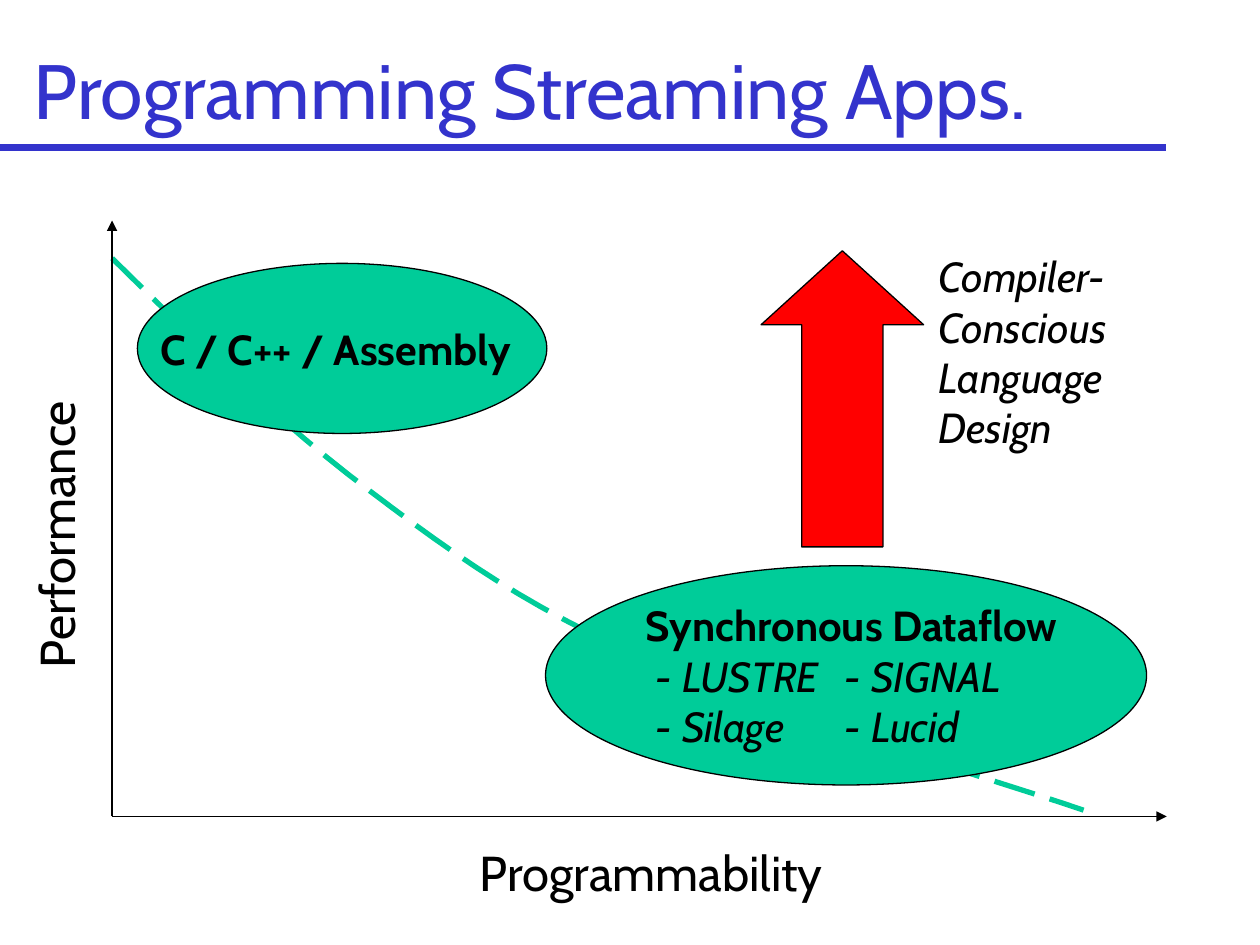
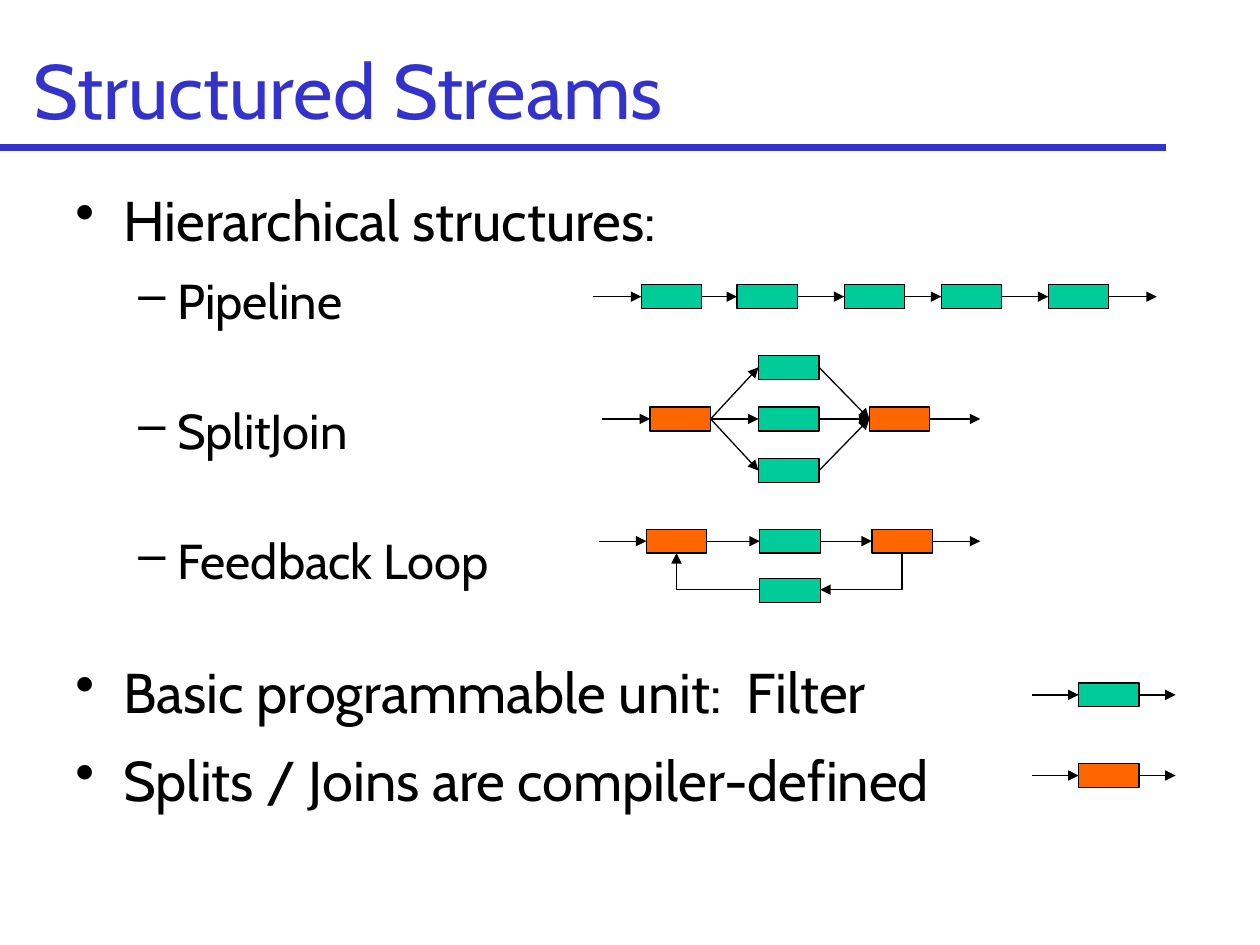
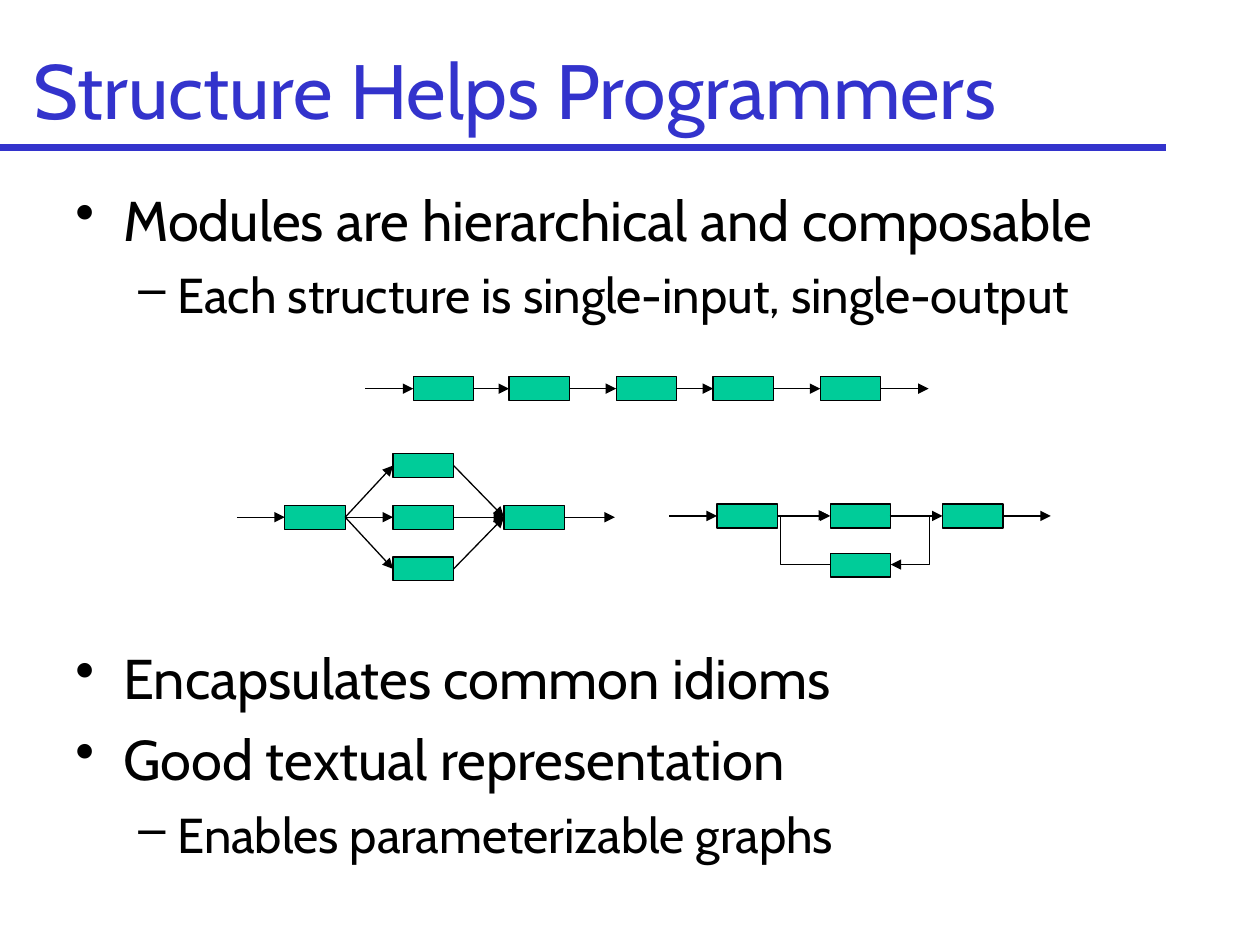
from lxml import etree
from pptx import Presentation
from pptx.dml.color import RGBColor
from pptx.enum import dml, shapes, text
from pptx.oxml.ns import qn
from pptx.util import Inches, Pt

FONT = "Cabin"
BLACK, BLUE, GREEN, ORANGE, RED = "000000", "3333CC", "00CC99", "FF6600", "FF0000"
BOX_WIDTH, BOX_HEIGHT = 0.48, 0.19
STRAIGHT, ELBOW = shapes.MSO_CONNECTOR.STRAIGHT, shapes.MSO_CONNECTOR.ELBOW
color = RGBColor.from_string


def add_line(slide, start, end, arrow="tailEnd", kind=STRAIGHT, line_color=BLACK, width=0.75):
    """Draw a connector; arrow names the end that carries the arrowhead."""
    connector = slide.shapes.add_connector(kind, *map(Inches, (*start, *end)))
    connector.line.color.rgb = color(line_color)
    connector.line.width = Pt(width)
    if arrow:
        etree.SubElement(connector.line._get_or_add_ln(), qn("a:" + arrow), type="triangle")
    etree.SubElement(connector._element.spPr, qn("a:effectLst"))
    return connector


def write(frame, line, size, text_color=BLACK, bold=False, italic=False,
          bullet=None, left=0, hanging=0, tab=None):
    """Fill the first empty paragraph of the frame, or add one."""
    paragraph = frame.paragraphs[-1]
    if paragraph.text:
        paragraph = frame.add_paragraph()
    paragraph.text = line
    paragraph.alignment = text.PP_ALIGN.LEFT
    properties = paragraph._p.get_or_add_pPr()
    properties.set("marL", str(Inches(left)))
    properties.set("indent", str(Inches(-hanging)))
    if bullet:
        etree.SubElement(properties, qn("a:buChar"), char=bullet)
    if tab:
        tabs = etree.SubElement(properties, qn("a:tabLst"))
        etree.SubElement(tabs, qn("a:tab"), pos=str(Inches(tab)), algn="l")
    font = paragraph.font
    font.name, font.size, font.bold, font.italic = FONT, Pt(size), bold, italic
    font.color.rgb = color(text_color)
    return paragraph


presentation = Presentation()
presentation.slide_width, presentation.slide_height = Inches(10), Inches(7.5)

# Titles and rules on every slide
slides = []
for title in ("Programming Streaming Apps.", "Structured Streams", "Structure Helps Programmers"):
    slide = presentation.slides.add_slide(presentation.slide_layouts[6])
    add_line(slide, (0, 1.17), (9.25, 1.17), arrow=None, line_color=BLUE, width=4)
    frame = slide.shapes.add_textbox(*map(Inches, (0.17, 0.08, 9.38, 1.25))).text_frame
    frame.word_wrap = True
    frame.vertical_anchor = text.MSO_ANCHOR.MIDDLE
    write(frame, title, 44, BLUE)
    slides.append(slide)
tradeoff, streams, programmers = slides

# Slide 1: dashed trade-off curve, sampled from cubic segments
curve = [(0.89, 2.05), (1.56, 2.71), (2.23, 3.37), (2.94, 3.9), (3.64, 4.43),
         (4.18, 4.81), (5.12, 5.23), (6.07, 5.65), (8.02, 6.23), (8.6, 6.43)]
steps = 12
points = []
for first in range(0, len(curve) - 1, 3):
    for step in range(1, steps + 1):
        t = step / steps
        weights = ((1 - t) ** 3, 3 * t * (1 - t) ** 2, 3 * t ** 2 * (1 - t), t ** 3)
        points.append(tuple(
            Inches(sum(weight * point[axis] for weight, point in zip(weights, curve[first:first + 4])))
            for axis in (0, 1)))
builder = tradeoff.shapes.build_freeform(*map(Inches, curve[0]))
builder.add_line_segments(points, close=False)
shape = builder.convert_to_shape()
shape.shadow.inherit = False
shape.fill.background()
shape.line.color.rgb = color(GREEN)
shape.line.width = Pt(3)
shape.line.dash_style = dml.MSO_LINE.LONG_DASH

# Slide 1: axes
origin = (0.89, 6.48)
add_line(tradeoff, origin, (0.89, 1.75))
add_line(tradeoff, origin, (9.26, 6.48))

# Slide 1: ellipses and upward arrow
solids = []
for preset, fill, place in (
        (shapes.MSO_SHAPE.OVAL, GREEN, (4.33, 4.49, 4.77, 1.74)),
        (shapes.MSO_SHAPE.OVAL, GREEN, (1.09, 2.09, 3.25, 1.35)),
        (shapes.MSO_SHAPE.UP_ARROW, RED, (6.04, 1.99, 1.29, 2.35))):
    shape = tradeoff.shapes.add_shape(preset, *map(Inches, place))
    shape.shadow.inherit = False
    shape.fill.solid()
    shape.fill.fore_color.rgb = color(fill)
    shape.line.color.rgb = color(BLACK)
    shape.line.width = Pt(0.75)
    shape.text_frame.word_wrap = False
    solids.append(shape)
dataflow, assembly, up_arrow = solids
up_arrow.adjustments[1] = 0.455
write(dataflow.text_frame, "Synchronous Dataflow", 24, bold=True)
for line in ("- LUSTRE\t- SIGNAL", "- Silage\t- Lucid"):
    write(dataflow.text_frame, line, 24, italic=True, left=0.08, tab=2)
assembly.text_frame.margin_right = Inches(0.2)
paragraph = write(assembly.text_frame, "C / C++ / Assembly", 24, bold=True)
paragraph.alignment = text.PP_ALIGN.CENTER

# Slide 1: labels
for place, rotation, size, italic, lines in (
        ((3.71, 6.64, 3.27, 0.57), 0, 28, False, ["Programmability"]),
        ((-0.84, 3.83, 2.57, 0.57), 270, 28, False, ["Performance"]),
        ((7.35, 1.94, 1.68, 1.7), 0, 24, True, ["Compiler-", "Conscious", "Language", "Design"])):
    label = tradeoff.shapes.add_textbox(*map(Inches, place))
    label.rotation = rotation
    label.text_frame.word_wrap = True
    for line in lines:
        write(label.text_frame, line, size, italic=italic)

# Slides 2 and 3: bullets as (level, text, line spacing, space before)
for slide, bullets in (
        (streams, [(0, "Hierarchical structures:", 1, 0),
                   (1, "Pipeline", 1.1, 7),
                   (1, "SplitJoin", 2, 7),
                   (1, "Feedback Loop", 2, 7),
                   (0, "Basic programmable unit:  Filter", 1, 39),
                   (0, "Splits / Joins are compiler-defined", 1.1, 8)]),
        (programmers, [(0, "Modules are hierarchical and composable", 1, 0),
                       (1, "Each structure is single-input, single-output", 1, 7),
                       (0, "Encapsulates common idioms", 1, 183),
                       (0, "Good textual representation", 1, 8),
                       (1, "Enables parameterizable graphs", 1, 7)])):
    frame = slide.shapes.add_textbox(*map(Inches, (0.5, 1.42, 9.33, 5.92))).text_frame
    frame.word_wrap = True
    for level, line, spacing, before in bullets:
        size, bullet, left, hanging = ((32, "•", 0.38, 0.38), (28, "–", 0.81, 0.31))[level]
        paragraph = write(frame, line, size, bullet=bullet, left=left, hanging=hanging)
        paragraph.line_spacing = spacing
        if before:
            paragraph.space_before = Pt(before)

# Stream graphs: box offsets, links between boxes, end of the outgoing arrow.
# The first box takes the input and the last one gives the output.
pipeline = ([(0.38, 0), (1.14, 0), (1.99, 0), (2.76, 0), (3.61, 0)],
            [(0, 1), (1, 2), (2, 3), (3, 4)], 4.47)
split_join = ([(0.38, 0.41), (1.24, 0), (1.24, 0.41), (1.24, 0.82), (2.12, 0.41)],
              [(0, 1), (0, 2), (0, 3), (1, 4), (2, 4), (3, 4)], 3)
feedback = ([(0.38, 0), (1.28, 0), (1.28, 0.39), (2.17, 0)], [(0, 1), (1, 3)], 3.03)
unit = ([(0.37, 0)], [], 1.14)

for slide, (boxes, links, exit_end), (left, top), end_color in (
        (streams, pipeline, (4.71, 2.26), GREEN),
        (streams, split_join, (4.78, 2.82), ORANGE),
        (streams, feedback, (4.75, 4.2), ORANGE),
        (streams, unit, (8.19, 5.42), GREEN),
        (streams, unit, (8.19, 6.06), ORANGE),
        (programmers, pipeline, (2.9, 2.99), GREEN),
        (programmers, split_join, (1.88, 3.6), GREEN),
        (programmers, feedback, (5.31, 4), GREEN)):
    nodes = []
    for x, y in boxes:
        node = slide.shapes.add_shape(shapes.MSO_SHAPE.RECTANGLE, *map(
            Inches, (left + x, top + y, BOX_WIDTH, BOX_HEIGHT)))
        node.shadow.inherit = False
        node.fill.solid()
        node.fill.fore_color.rgb = color(end_color if (x, y) in (boxes[0], boxes[-1]) else GREEN)
        node.line.color.rgb = color(BLACK)
        node.line.width = Pt(0.75)
        nodes.append(node)
    for source, target in links:
        link = add_line(slide, (left, top), (left, top))
        link.begin_connect(nodes[source], 3)
        link.end_connect(nodes[target], 1)
    middle = top + boxes[0][1] + BOX_HEIGHT / 2
    add_line(slide, (left, middle), (left, middle)).end_connect(nodes[0], 1)
    end = (left + exit_end, middle)
    add_line(slide, end, end).begin_connect(nodes[-1], 3)

# Slide 2: the loop runs from the join back to the split
for start, end, arrow in (((6.51, 4.68), (7.16, 4.39), "headEnd"),
                          ((6.03, 4.68), (5.37, 4.39), "tailEnd")):
    loop = add_line(streams, start, end, arrow, ELBOW)
    loop._element.spPr.find(qn("a:prstGeom")).set("prst", "bentConnector2")

# Slide 3: the loop runs around the middle filter; the bend is in widths of the connector
for start, end, bend in (((7.06, 4.09), (7.07, 4.48), 32),
                         ((6.59, 4.48), (6.58, 4.09), 40)):
    loop = add_line(programmers, start, end, kind=ELBOW)
    guides = loop._element.spPr.find(qn("a:prstGeom")).get_or_add_avLst()
    etree.SubElement(guides, qn("a:gd"), name="adj1", fmla=f"val {bend * 100000}")

presentation.save("out.pptx")
